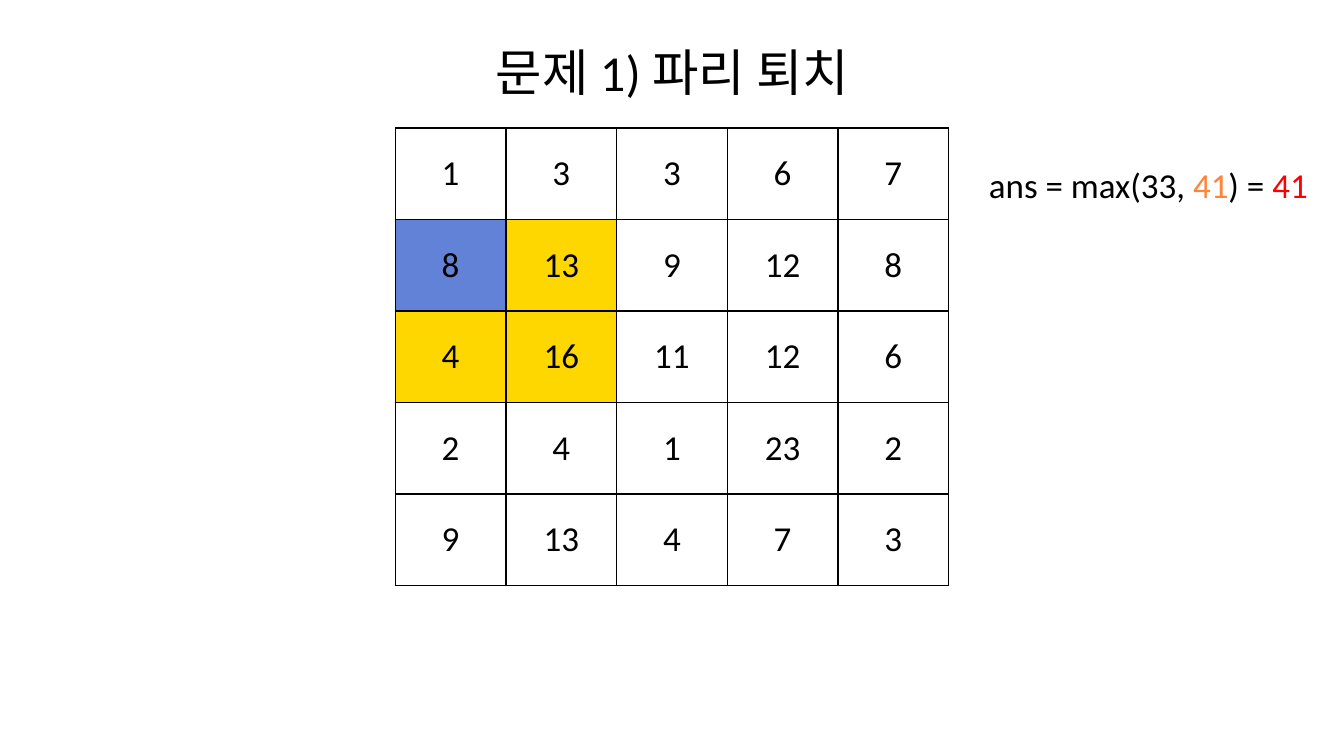
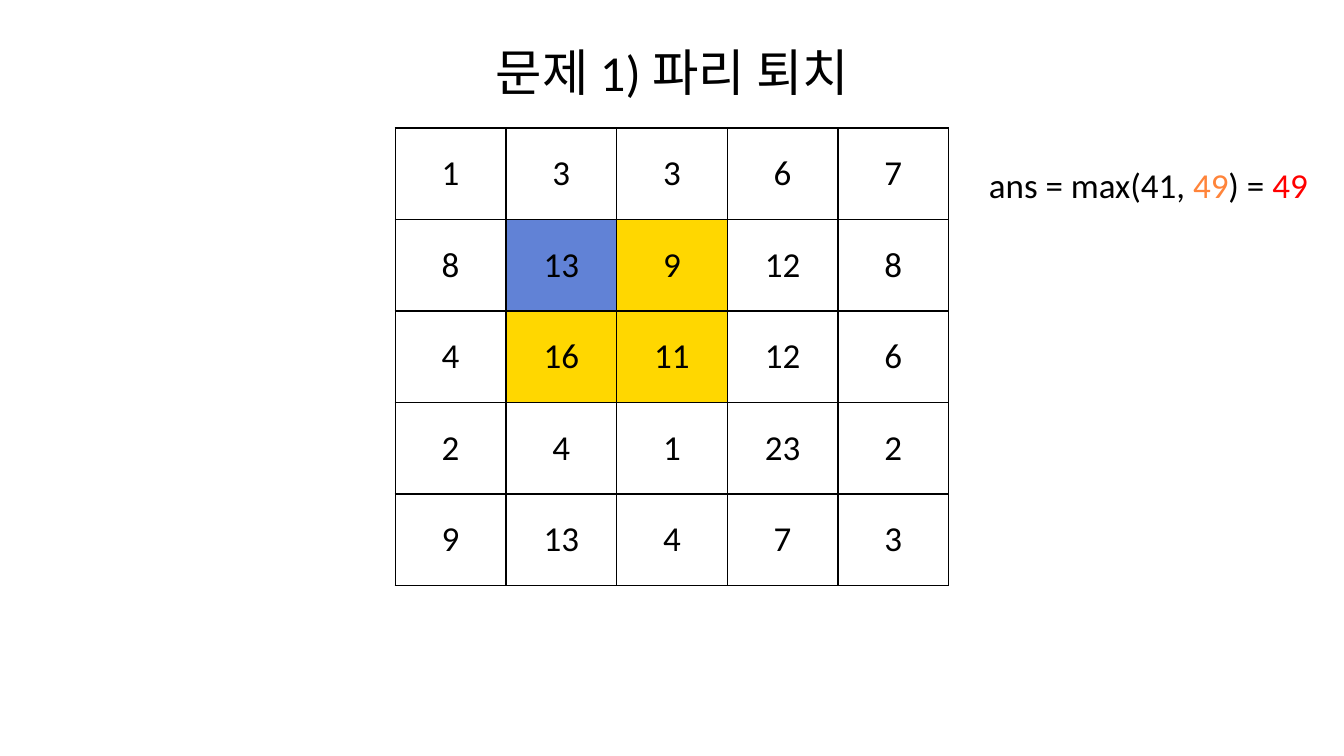
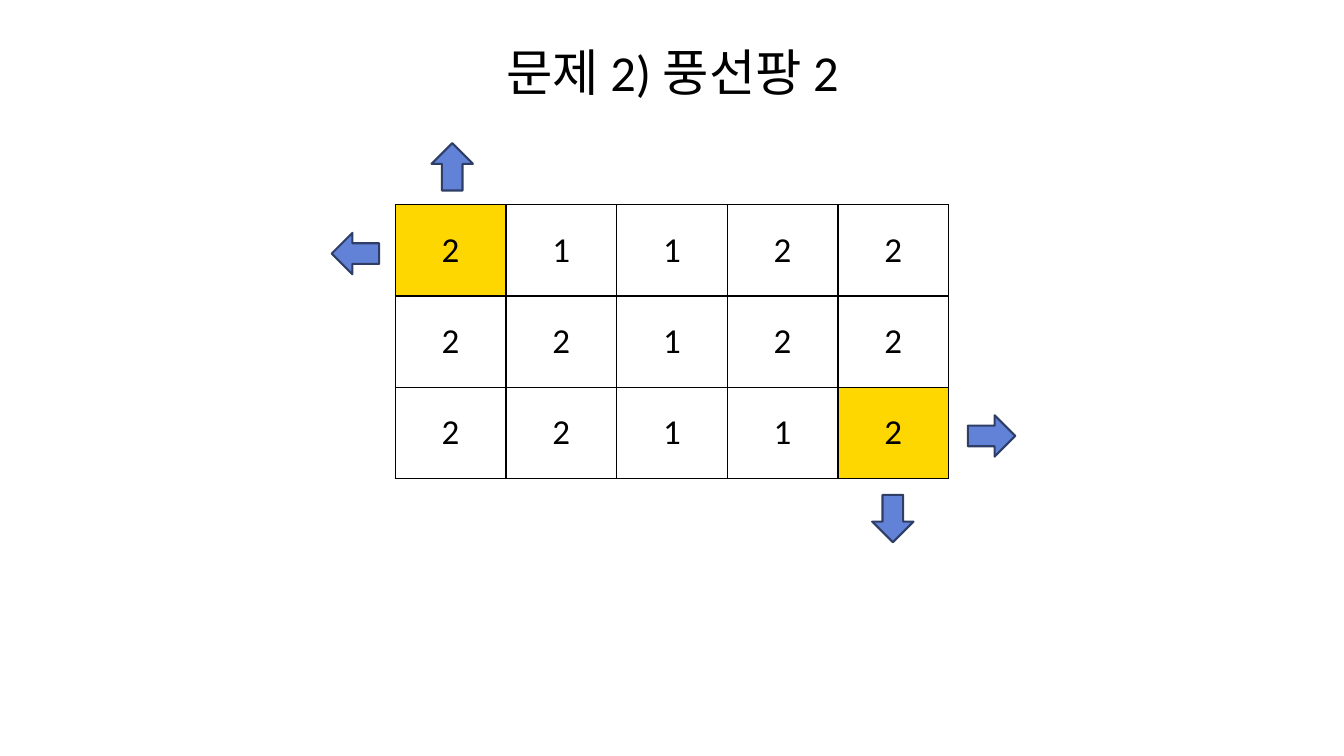
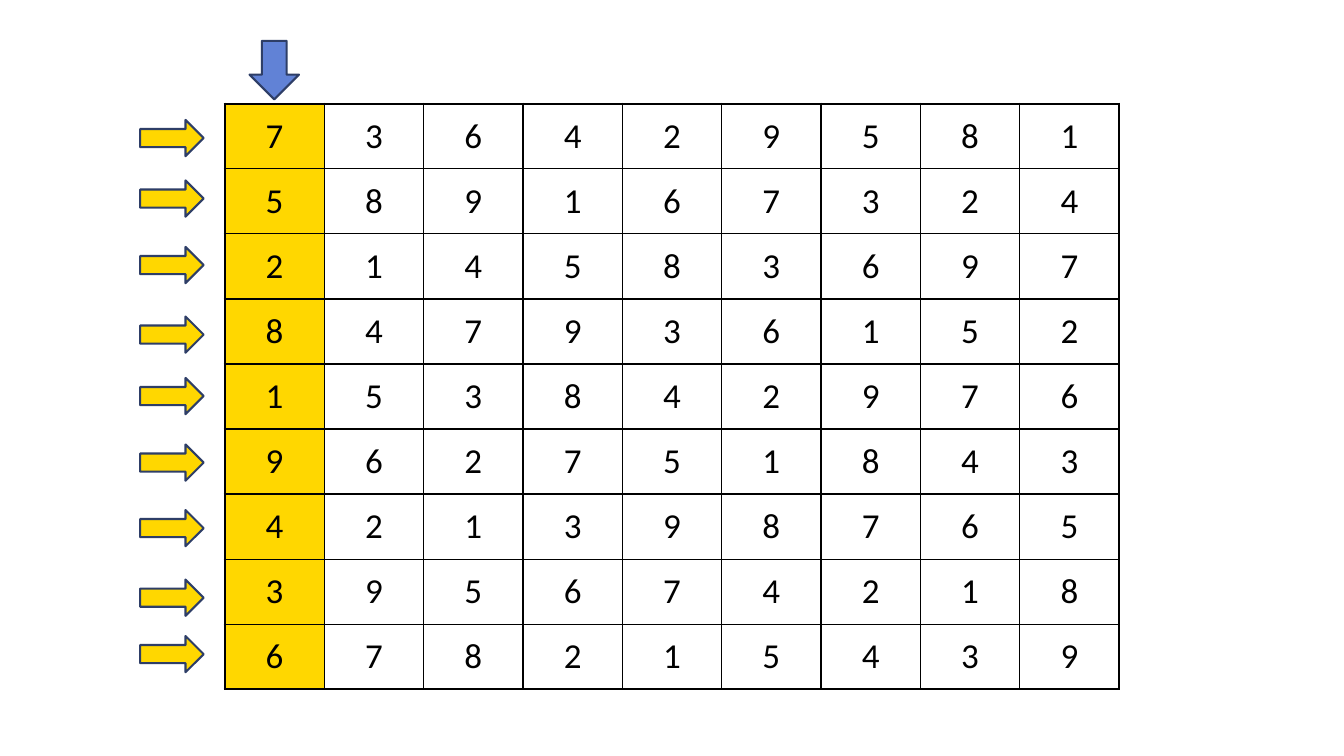
"""Build four slides that walk through grid problems step by step."""
from dataclasses import dataclass

from lxml import etree
from pptx import Presentation
from pptx.dml.color import RGBColor
from pptx.enum import shapes, text
from pptx.oxml import ns
from pptx.util import Inches, Pt


@dataclass(frozen=True)
class Theme:
    font: str = "Calibri"
    title_size: int = 36
    body_size: int = 25
    black: str = "000000"
    blue: str = "6182D6"
    yellow: str = "FFD700"
    orange: str = "FF843A"
    red: str = "FF0000"
    outline: str = "2E3E67"
    thin: int = 1
    thick: int = 2
    arrow_line: float = 1.5


theme = Theme()


def add_grid(page, rows, frame, fills, block=None):
    left, top, width, height = frame
    table = page.shapes.add_table(len(rows), len(rows[0]), Inches(left), Inches(top),
                                  Inches(width), Inches(height)).table
    table.first_row = table.horz_banding = False
    for row, values in enumerate(rows):
        for column, value in enumerate(values):
            cell = table.cell(row, column)
            cell.text = str(value)
            cell.vertical_anchor = text.MSO_ANCHOR.MIDDLE
            para = cell.text_frame.paragraphs[0]
            para.alignment = text.PP_ALIGN.CENTER
            para.font.name = theme.font
            para.font.size = Pt(theme.body_size)
            para.font.color.rgb = RGBColor.from_string(theme.black)
            edges = {"L": column, "R": column + 1, "T": row, "B": row + 1}
            for side, edge in edges.items():
                weight = theme.thick if block and edge % block == 0 else theme.thin
                line = etree.SubElement(cell._tc.get_or_add_tcPr(), ns.qn(f"a:ln{side}"),
                                        w=str(Pt(weight)))
                solid = etree.SubElement(line, ns.qn("a:solidFill"))
                etree.SubElement(solid, ns.qn("a:srgbClr"), val=theme.black)
            if (row, column) in fills:
                cell.fill.solid()
                cell.fill.fore_color.rgb = RGBColor.from_string(fills[row, column])
            else:
                cell.fill.background()


def add_arrow(page, left, top, width, height, rotation, color):
    arrow = page.shapes.add_shape(shapes.MSO_SHAPE.RIGHT_ARROW, Inches(left), Inches(top),
                                  Inches(width), Inches(height))
    arrow.rotation = rotation
    arrow.shadow.inherit = False
    arrow.fill.solid()
    arrow.fill.fore_color.rgb = RGBColor.from_string(color)
    arrow.line.color.rgb = RGBColor.from_string(theme.outline)
    arrow.line.width = Pt(theme.arrow_line)


deck = Presentation()
deck.slide_width = Inches(13.33)
deck.slide_height = Inches(7.5)

pages = []
for title in ["문제 1) 파리 퇴치", "문제 1) 파리 퇴치", "문제 2) 풍선팡 2"]:
    page = deck.slides.add_slide(deck.slide_layouts[5])
    box = page.shapes.title
    box.left, box.top = Inches(0.67), Inches(0.4)
    box.width, box.height = Inches(12), Inches(0.62)
    box.text_frame.text = title
    box.text_frame.auto_size = text.MSO_AUTO_SIZE.NONE
    box.text_frame.vertical_anchor = text.MSO_ANCHOR.MIDDLE
    para = box.text_frame.paragraphs[0]
    para.alignment = text.PP_ALIGN.CENTER
    para.font.name = theme.font
    para.font.size = Pt(theme.title_size)
    para.font.color.rgb = RGBColor.from_string(theme.black)
    pages.append(page)

flies = [
    [1, 3, 3, 6, 7],
    [8, 13, 9, 12, 8],
    [4, 16, 11, 12, 6],
    [2, 4, 1, 23, 2],
    [9, 13, 4, 7, 3],
]
for page, column, best, total in [(pages[0], 0, 33, 41), (pages[1], 1, 41, 49)]:
    window = {(row, column + step): theme.yellow for row in (1, 2) for step in (0, 1)}
    window[1, column] = theme.blue
    add_grid(page, flies, (3.92, 1.27, 5.49, 4.54), window)
    box = page.shapes.add_textbox(Inches(9.71), Inches(1.57), Inches(3.48), Inches(0.51))
    box.text_frame.word_wrap = True
    box.text_frame.auto_size = text.MSO_AUTO_SIZE.SHAPE_TO_FIT_TEXT
    para = box.text_frame.paragraphs[0]
    para.font.name = theme.font
    para.font.size = Pt(theme.body_size)
    for words, color in [(f"ans = max({best}, ", theme.black), (str(total), theme.orange),
                         (") = ", theme.black), (str(total), theme.red)]:
        span = para.add_run()
        span.text = words
        span.font.color.rgb = RGBColor.from_string(color)

balloons = [
    [2, 1, 1, 2, 2],
    [2, 2, 1, 2, 2],
    [2, 2, 1, 1, 2],
]
corners = {(0, 0): theme.yellow, (2, 4): theme.yellow}
add_grid(pages[2], balloons, (3.92, 2.03, 5.49, 2.72), corners)
for left, top, rotation in [(4.25, 1.45, 270), (9.6, 4.12, 0), (8.62, 4.94, 90), (3.29, 2.31, 180)]:
    add_arrow(pages[2], left, top, 0.47, 0.41, rotation, theme.blue)

sudoku = [
    [7, 3, 6, 4, 2, 9, 5, 8, 1],
    [5, 8, 9, 1, 6, 7, 3, 2, 4],
    [2, 1, 4, 5, 8, 3, 6, 9, 7],
    [8, 4, 7, 9, 3, 6, 1, 5, 2],
    [1, 5, 3, 8, 4, 2, 9, 7, 6],
    [9, 6, 2, 7, 5, 1, 8, 4, 3],
    [4, 2, 1, 3, 9, 8, 7, 6, 5],
    [3, 9, 5, 6, 7, 4, 2, 1, 8],
    [6, 7, 8, 2, 1, 5, 4, 3, 9],
]
page = deck.slides.add_slide(deck.slide_layouts[6])
first_column = {(row, 0): theme.yellow for row in range(len(sudoku))}
add_grid(page, sudoku, (2.23, 1.03, 8.87, 5.81), first_column, block=3)
add_arrow(page, 2.43, 0.45, 0.58, 0.49, 90, theme.blue)
for top in [1.19, 1.79, 2.45, 3.14, 3.75, 4.41, 5.06, 5.75, 6.31]:
    add_arrow(page, 1.39, top, 0.63, 0.36, 0, theme.yellow)

deck.save("out.pptx")
